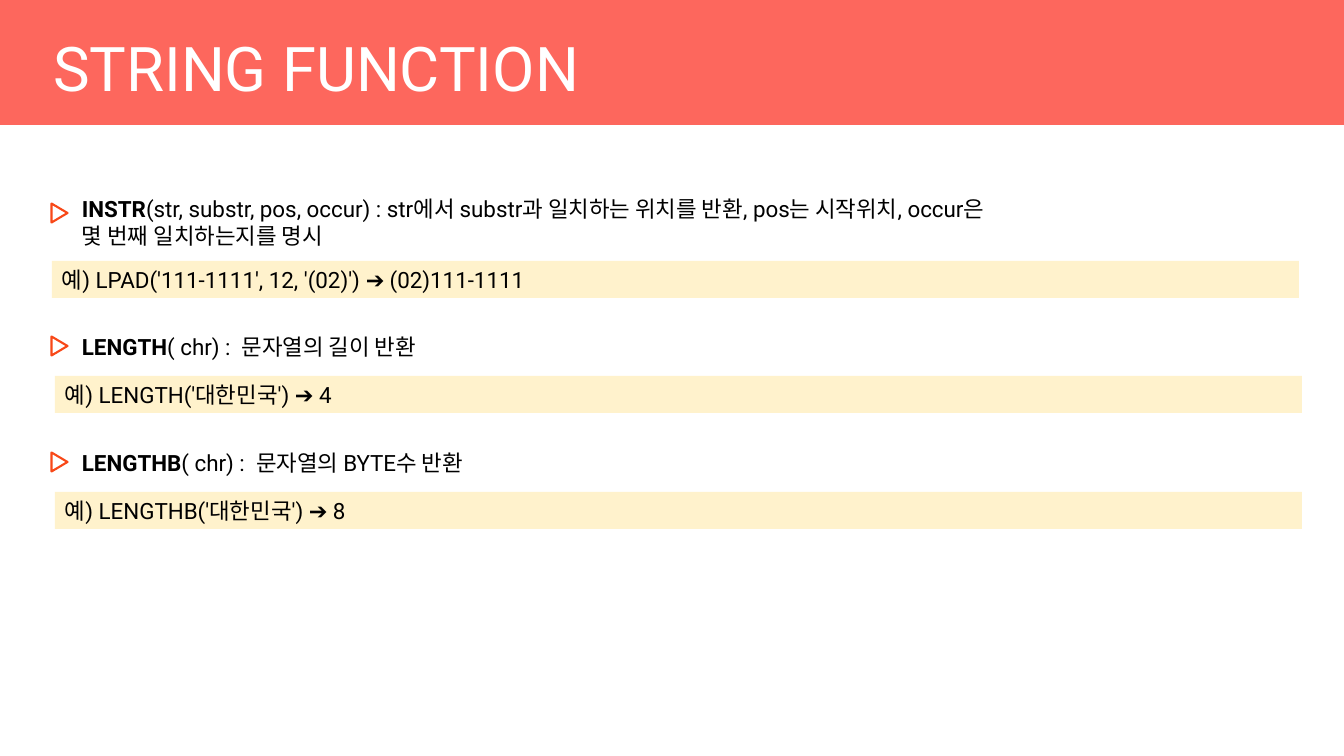
import pptx
import pptx.util
import pptx.dml.color
import pptx.enum.shapes
import pptx.enum.text

PX = 9144000 / 1008  # EMU in one px, at 100.8 px to the inch
FONT = "Roboto"
COLORS = {
    "band": "FD675D",
    "bar": "FFF2CC",
    "mark": "F84818",
    "white": "FFFFFF",
    "black": "000000",
}
SHAPES = pptx.enum.shapes.MSO_SHAPE
ANCHOR = pptx.enum.text.MSO_ANCHOR
ALIGN = pptx.enum.text.PP_ALIGN

# text top, text height, marker top, bar left, bar top, name, meaning, example
ITEMS = [
    (190, 64, 205, 52, 261, "INSTR",
     "(str, substr, pos, occur) : str에서 substr과 일치하는 위치를 반환, "
     "pos는 시작위치, occur은 몇 번째 일치하는지를 명시",
     "예) LPAD('111-1111', 12, '(02)') ➔ (02)111-1111"),
    (328, 37, 338, 55, 376, "LENGTH", "( chr) :  문자열의 길이 반환",
     "예) LENGTH('대한민국') ➔ 4"),
    (444, 37, 454, 55, 492, "LENGTHB", "( chr) :  문자열의 BYTE수 반환",
     "예) LENGTHB('대한민국') ➔ 8"),
]


def emu(*sizes):
    return [pptx.util.Emu(round(size * PX)) for size in sizes]


def color(name):
    return pptx.dml.color.RGBColor.from_string(COLORS[name])


def add_run(para, text, size=16, ink="black", bold=False):
    run = para.add_run()
    run.text = text
    run.font.name = FONT
    run.font.size = pptx.util.Pt(size)
    run.font.bold = bold
    run.font.color.rgb = color(ink)


def add_block(slide, kind, box, fill, line=None):
    """Add a filled preset shape, with an outline only if line is given."""
    block = slide.shapes.add_shape(kind, *emu(*box))
    block.shadow.inherit = False
    block.fill.solid()
    block.fill.fore_color.rgb = color(fill)
    if line:
        block.line.color.rgb = color(line)
        block.line.width = pptx.util.Pt(1.5)
    else:
        block.line.fill.background()
    return block


def set_title(slide, text):
    title = slide.shapes.title
    title.left, title.top, title.width, title.height = emu(43, 30, 1159, 79)
    title.element.getparent().append(title.element)  # in front of the band
    frame = title.text_frame
    frame.word_wrap = True
    frame.auto_size = pptx.enum.text.MSO_AUTO_SIZE.NONE
    frame.vertical_anchor = ANCHOR.BOTTOM
    para = frame.paragraphs[0]
    para.alignment = ALIGN.LEFT
    add_run(para, text, 44, "white")


def add_term(slide, top, height, name, meaning):
    box = slide.shapes.add_textbox(*emu(72, top, 932, height))
    box.text_frame.word_wrap = True
    para = box.text_frame.paragraphs[0]
    add_run(para, name, bold=True)
    add_run(para, meaning)


def add_mark(slide, top):
    mark = add_block(slide, SHAPES.FLOWCHART_EXTRACT, (50, top, 19, 16),
                     "white", "mark")
    mark.rotation = 90


def add_bar(slide, left, top, text):
    bar = add_block(slide, SHAPES.RECTANGLE, (left, top, 1247, 37), "bar")
    frame = bar.text_frame
    frame.word_wrap = True
    frame.vertical_anchor = ANCHOR.TOP
    para = frame.paragraphs[0]
    para.alignment = ALIGN.LEFT
    add_run(para, text)


def main():
    deck = pptx.Presentation()
    deck.slide_width, deck.slide_height = emu(1344, 756)
    slide = deck.slides.add_slide(deck.slide_layouts[5])
    add_block(slide, SHAPES.RECTANGLE, (0, 0, 1344, 125), "band")
    set_title(slide, "STRING FUNCTION")
    for top, height, mark, left, bar, name, meaning, sample in ITEMS:
        add_term(slide, top, height, name, meaning)
        add_mark(slide, mark)
        add_bar(slide, left, bar, sample)
    deck.save("out.pptx")


if __name__ == "__main__":
    main()
